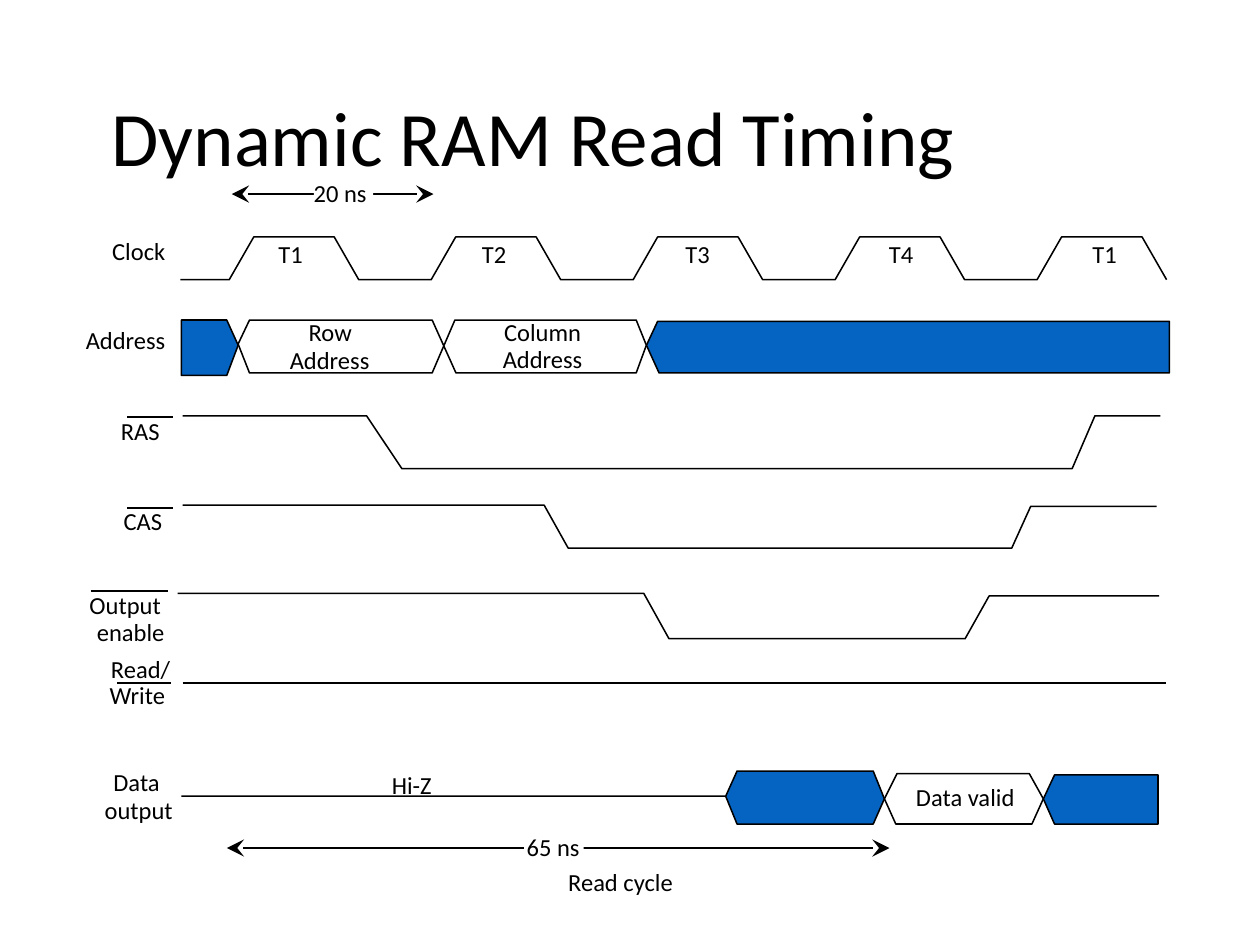
from lxml.etree import SubElement
from pptx import Presentation
from pptx.dml.color import RGBColor
from pptx.enum.shapes import MSO_CONNECTOR as Connector, MSO_SHAPE as Preset
from pptx.enum.text import MSO_ANCHOR as Anchor, MSO_AUTO_SIZE as AutoSize
from pptx.oxml.ns import qn
from pptx.util import Pt

BLACK = RGBColor(0x00, 0x00, 0x00)
WHITE = RGBColor(0xFF, 0xFF, 0xFF)
BUSY_BLUE = RGBColor(0x05, 0x63, 0xC1)

LINE_WIDTH = 0.88
LABEL_HEIGHT = 16.8
LABEL_FRAME = {
    "margin_left": 0, "margin_right": 0, "margin_top": 0, "margin_bottom": 0,
    "word_wrap": False, "auto_size": AutoSize.SHAPE_TO_FIT_TEXT,
}
TITLE_FRAME = {
    "margin_left": Pt(14), "word_wrap": True,
    "vertical_anchor": Anchor.MIDDLE,
}

# Text, left, top, width
LABELS = [
    ("Clock", 64.1, 134.6, 35),
    ("Address", 49, 185.8, 49),
    ("RAS", 69.1, 237.6, 28),
    ("CAS", 70.6, 289.4, 28),
    ("Output", 51.1, 337, 43),
    ("enable", 55.4, 352.8, 39),
    ("Read/", 63.4, 373.7, 35),
    ("Write", 62.6, 388.8, 35),
    ("Data", 64.8, 438.5, 29),
    ("output", 59.8, 454.3, 40),
    ("Row", 176.4, 181.4, 27),
    ("Address", 165.6, 197.3, 49),
    ("Column", 288, 181.4, 48),
    ("Address", 287.3, 196.6, 49),
    ("Hi-Z", 223.9, 439.9, 29),
    ("Data valid", 523.4, 447.1, 62),
    ("Read cycle", 324.7, 495.4, 64),
]

# Start, end and height of the bars over active-low names
OVERBARS = [
    (72.7, 98.6, 238.3),
    (72.7, 98.6, 290.2),
    (51.8, 95.8, 337.7),
    (67, 97.9, 390.2),
]

# Horizontal corners, then first high, low and last high level
ACTIVE_LOW_SIGNALS = [
    ((104.4, 209.5, 229.7, 612.7, 625.7, 663.1), (237.6, 267.8, 237.6)),
    ((104.4, 311, 324.7, 578.2, 589, 661), (288.7, 313.2, 289.4)),
    ((101.5, 367.9, 382.3, 551.5, 565.2, 662.4), (339.1, 365, 340.6)),
]

BUSY_ADDRESS_START = [(103.7, 182.9), (129.6, 182.9), (136.1, 197.3),
                      (129.6, 214.6), (103.7, 214.6), (103.7, 182.9)]
BUSY_ADDRESS_END = [(668.2, 213.1), (376.6, 213.1), (369.4, 197.3),
                    (375.8, 183.6), (668.2, 183.6), (668.2, 213.1)]
ROW_AND_COLUMN = [(363.6, 213.1), (260.6, 213.1), (247, 182.9), (142.6, 182.9),
                  (136.1, 196.6), (142.6, 213.1), (247, 213.1), (260, 182.9),
                  (363.6, 182.9), (369.4, 197.3), (363.6, 213.1)]
BUSY_DATA_START = [(103.7, 455), (414.7, 455), (421.2, 440.6), (499, 440.6),
                   (505.4, 456.5), (499, 470.9), (421.2, 470.9), (414.7, 455)]
VALID_DATA = [(589.7, 470.9), (511.9, 470.9), (505.4, 456.5), (512.6, 442.1),
              (588.2, 442.1), (596.2, 456.5), (589.7, 470.9)]
BUSY_DATA_END = [(661.7, 470.9), (602.6, 470.9), (596.2, 456.5),
                 (602.6, 442.8), (661.7, 442.8), (661.7, 470.9)]


def set_attributes(target, values):
    for name, value in values.items():
        setattr(target, name, value)


def set_fill(shape, color):
    if color is None:
        shape.fill.background()
    else:
        shape.fill.solid()
        shape.fill.fore_color.rgb = color


def set_line(shape):
    shape.line.color.rgb = BLACK
    shape.line.width = Pt(LINE_WIDTH)


def add_text(slide, text, left, top, width, height=LABEL_HEIGHT, size=14,
             frame_format=LABEL_FRAME):
    box = slide.shapes.add_textbox(Pt(left), Pt(top), Pt(width), Pt(height))
    set_attributes(box.text_frame, frame_format)
    paragraph = box.text_frame.paragraphs[0]
    run = paragraph.add_run()
    run.text = text
    set_attributes(run.font, {"name": "Calibri", "size": Pt(size)})
    run.font.color.rgb = BLACK
    return paragraph


def add_outline(slide, points, fill=None):
    corners = [(Pt(x), Pt(y)) for x, y in points]
    builder = slide.shapes.build_freeform(*corners[0], scale=1.0)
    builder.add_line_segments(corners[1:], close=False)
    shape = builder.convert_to_shape()
    shape.shadow.inherit = False
    set_fill(shape, fill)
    set_line(shape)


def add_line(slide, start, end, y, arrows=False):
    connector = slide.shapes.add_connector(
        Connector.STRAIGHT, Pt(start), Pt(y), Pt(end), Pt(y))
    set_line(connector)
    properties = connector._element.spPr
    if arrows:
        line = properties.find(qn("a:ln"))
        for tag in ("a:headEnd", "a:tailEnd"):
            SubElement(line, qn(tag), type="stealth", w="lg", len="lg")
    SubElement(properties, qn("a:effectLst"))


def add_duration(slide, text, start, end, y, gap_left, text_left):
    add_line(slide, start, end, y, arrows=True)
    gap = slide.shapes.add_shape(
        Preset.RECTANGLE, Pt(gap_left), Pt(y - 6.5), Pt(34), Pt(14.4))
    gap.shadow.inherit = False
    set_fill(gap, WHITE)
    gap.line.fill.background()
    add_text(slide, text, text_left, y - 9.4, 31)


def add_clock(slide):
    high, low, period = 135.4, 159.8, 115.4
    points = [(103, low)]
    for cycle in range(5):
        rise = 131 + cycle * period
        points += [(rise, low), (rise + 14, high),
                   (rise + 60, high), (rise + 74, low)]
    add_outline(slide, points)
    for index, name in enumerate(("T1", "T2", "T3", "T4", "T1")):
        add_text(slide, name, 159.1 + index * 116.3, 136.8, 17)


def add_active_low(slide, corners, levels):
    first, low, last = levels
    heights = (first, first, low, low, last, last)
    add_outline(slide, list(zip(corners, heights)))


def main():
    presentation = Presentation()
    presentation.slide_width, presentation.slide_height = Pt(720), Pt(540)
    slide = presentation.slides.add_slide(presentation.slide_layouts[6])

    # Title
    title = add_text(slide, "Dynamic RAM Read Timing", 49.7, 28.8, 620.6,
                     104.4, 44, TITLE_FRAME)
    title.line_spacing = 0.9

    # Clock and control signals
    add_clock(slide)
    for corners, levels in ACTIVE_LOW_SIGNALS:
        add_active_low(slide, corners, levels)
    add_line(slide, 104.4, 666, 390.2)

    # Address and data buses
    for points in (ROW_AND_COLUMN, VALID_DATA):
        add_outline(slide, points)
    for points in (BUSY_ADDRESS_START, BUSY_ADDRESS_END,
                   BUSY_DATA_START, BUSY_DATA_END):
        add_outline(slide, points, BUSY_BLUE)

    # Durations
    add_duration(slide, "20 ns", 132.5, 247.7, 110.9, 179.3, 179.3)
    add_duration(slide, "65 ns", 129.6, 508.3, 484.6, 299.5, 301)

    # Names
    for label in LABELS:
        add_text(slide, *label)
    for start, end, y in OVERBARS:
        add_line(slide, start, end, y)

    presentation.save("out.pptx")


if __name__ == "__main__":
    main()
